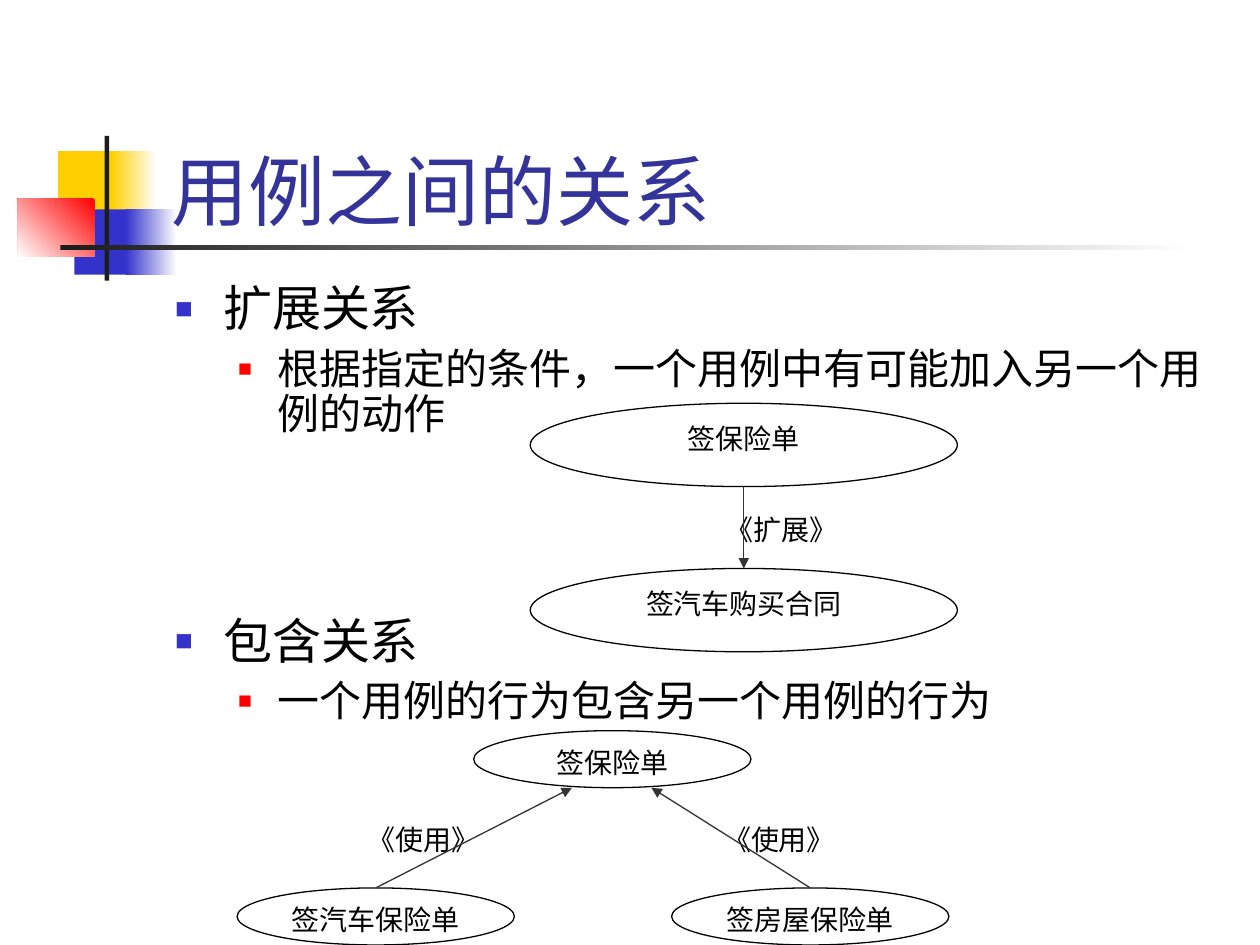
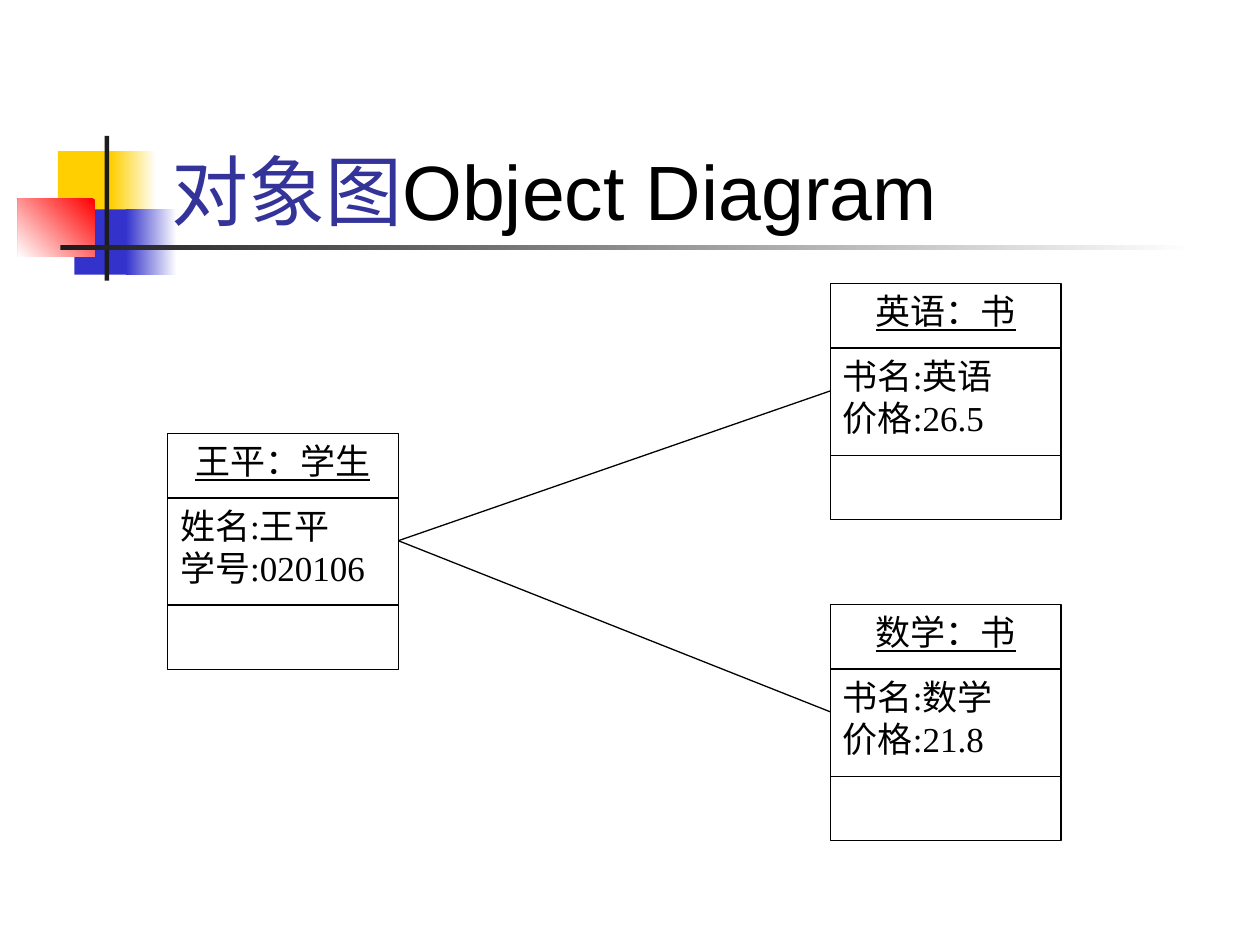
import pptx
import pptx.util
import pptx.dml.color
import pptx.enum.shapes
import pptx.enum.text
import pptx.oxml
import pptx.oxml.ns

Cm = pptx.util.Cm
Pt = pptx.util.Pt
Kind = pptx.enum.shapes.MSO_SHAPE
Align = pptx.enum.text.PP_ALIGN
Anchor = pptx.enum.text.MSO_ANCHOR

BLACK, WHITE, DARK, GREY = "000000", "FFFFFF", "1C1C1C", "333333"
GOLD, BLUE, RED, NAVY = "FFCF01", "3333CC", "FF0000", "333399"
HEAD, SANS, SERIF = "Karla", "Arial", "Times New Roman"


def tint(code):
    return pptx.dml.color.RGBColor.from_string(code)


def node(tag, **pairs):
    item = pptx.oxml.parse_xml(f"<a:{tag} {pptx.oxml.ns.nsdecls('a')}/>")
    for key, value in pairs.items():
        item.set(key, str(value))
    return item


class Deck:
    """Holds the shared style and the current slide, and draws on it."""

    def __init__(self):
        self.show = pptx.Presentation()
        self.show.slide_width = Cm(25.4)
        self.show.slide_height = Cm(19.05)
        self.slide = None

    def start(self, *runs):
        self.slide = self.show.slides.add_slide(self.show.slide_layouts[6])
        for x, y, w, h, fill in (
            (1.17, 3.05, 1.22, 1.32, GOLD),
            (2.24, 3.05, 0.91, 1.32, (GOLD, 0)),
            (1.5, 4.22, 1.17, 1.32, BLUE),
            (2.54, 4.22, 1.02, 1.32, (BLUE, 0)),
            (0.36, 4.01, 1.55, 1.17, (RED, 225)),
            (2.11, 2.74, 0.09, 2.92, DARK),
            (1.22, 4.94, 22.86, 0.1, (DARK, 0)),
        ):
            self.shape(x, y, w, h, fill)
        frame = self.frame(3.2, 1.7, 21.64, 3.18)
        frame.vertical_anchor = Anchor.BOTTOM
        for text, font, color in runs:
            self.run(frame.paragraphs[0], text, 44, font, color)

    def run(self, para, text, size, font=SERIF, color=BLACK, under=None):
        style = para.add_run()
        style.text = text
        style = style.font
        style.size, style.name, style.underline = Pt(size), font, under
        style.color.rgb = tint(color)

    def frame(self, x, y, w, h):
        box = self.slide.shapes.add_textbox(Cm(x), Cm(y), Cm(w), Cm(h))
        box.text_frame.word_wrap = True
        return box.text_frame

    def shape(self, x, y, w, h, fill=WHITE, line=None, kind=Kind.RECTANGLE):
        item = self.slide.shapes.add_shape(kind, Cm(x), Cm(y), Cm(w), Cm(h))
        item.shadow.inherit = False
        if isinstance(fill, tuple):
            color, angle = fill
            item.fill.gradient()
            item.fill.gradient_angle = angle
            for stop, code in zip(item.fill.gradient_stops, (color, WHITE)):
                stop.color.rgb = tint(code)
        else:
            item.fill.solid()
            item.fill.fore_color.rgb = tint(fill)
        if line:
            item.line.color.rgb = tint(line)
            item.line.width = Pt(0.75)
        else:
            item.line.fill.background()
        return item

    def words(self, item, lines, size, align=Align.JUSTIFY, under=None):
        frame = item.text_frame
        frame.word_wrap = True
        frame.vertical_anchor = Anchor.TOP
        for i, text in enumerate(lines):
            para = frame.add_paragraph() if i else frame.paragraphs[0]
            para.alignment = align
            self.run(para, text, size, under=under)

    def oval(self, x, y, w, h, text):
        item = self.shape(x, y, w, h, line=BLACK, kind=Kind.OVAL)
        self.words(item, [text], 16, Align.CENTER)

    def label(self, x, y, w, h, text):
        self.words(self.shape(x, y, w, h), [text], 16)

    def line(self, x1, y1, x2, y2, color=BLACK, arrow=False):
        item = self.slide.shapes.add_connector(
            pptx.enum.shapes.MSO_CONNECTOR.STRAIGHT, Cm(x1), Cm(y1), Cm(x2), Cm(y2))
        item.line.color.rgb = tint(color)
        item.line.width = Pt(0.75)
        props = item._element.spPr
        if arrow:
            props.find(pptx.oxml.ns.qn("a:ln")).append(node("tailEnd", type="triangle"))
        props.append(node("effectLst"))

    def points(self, rows):
        levels = ((0.97, -0.97, BLUE, 60, 28), (2.06, -0.79, RED, 55, 24))
        frame = self.frame(3.28, 5.61, 21.59, 11.43)
        for i, (level, gap, text) in enumerate(rows):
            left, hang, color, scale, size = levels[level]
            para = frame.add_paragraph() if i else frame.paragraphs[0]
            props = para._p.get_or_add_pPr()
            props.set("marL", str(Cm(left)))
            props.set("indent", str(Cm(hang)))
            paint = node("buClr")
            paint.append(node("srgbClr", val=color))
            props.extend((paint, node("buSzPct", val=scale * 1000),
                          node("buFont", typeface=SANS), node("buChar", char="■")))
            para.level = level
            para.line_spacing = 0.9
            para.space_before = Pt(gap)
            self.run(para, text, size, HEAD)

    def object(self, x, y, name, fields):
        wide, low, tall = 4.65, 1.3, 2.16
        top = self.shape(x, y, wide, low, line=BLACK)
        self.words(top, [name], 20, Align.CENTER, under=True)
        self.words(self.shape(x, y + low, wide, tall, line=BLACK), fields, 20)
        self.shape(x, y + low + tall, wide, low, line=BLACK)


def cases(deck):
    deck.start(("用例之间的关系", HEAD, NAVY))
    deck.points((
        (0, 0, "扩展关系"),
        (1, 6, "根据指定的条件，一个用例中有可能加入另一个用例的动作"),
        (0, 102, "包含关系"),
        (1, 6, "一个用例的行为包含另一个用例的行为"),
    ))
    x, wide, tall, top, low = 10.69, 8.61, 1.68, 8.13, 11.46
    mid = x + wide / 2
    deck.label(14.38, 10.21, 4.93, 1.24, "《扩展》")
    deck.oval(x, top, wide, tall, "签保险单")
    deck.oval(x, low, wide, tall, "签汽车购买合同")
    deck.line(mid, top + tall, mid, low, GREY, True)

    wide, tall, top, low = 5.59, 1.15, 14.73, 17.9
    deck.oval(9.55, top, wide, tall, "签保险单")
    for x, tag, tip, text in ((4.78, 7.16, 11.53, "签汽车保险单"),
                              (13.54, 14.33, 13.13, "签房屋保险单")):
        deck.label(tag, 16.46, 3.18, 0.86, "《使用》")
        deck.oval(x, low, wide, tall, text)
        deck.line(x + wide / 2, low, tip, top + tall, GREY, True)


def objects(deck):
    deck.start(("对象图", HEAD, NAVY), ("Object Diagram", SANS, BLACK))
    x, y, port = 3.38, 8.74, 2.16
    deck.object(x, y, "王平：学生", ("姓名:王平", "学号:020106"))
    for row, name, cost in ((5.72, "英语", "26.5"), (12.19, "数学", "21.8")):
        deck.object(16.74, row, f"{name}：书", (f"书名:{name}", f"价格:{cost}"))
        deck.line(x + 4.65, y + port, 16.74, row + port)


def main():
    deck = Deck()
    cases(deck)
    objects(deck)
    deck.show.save("out.pptx")


if __name__ == "__main__":
    main()
